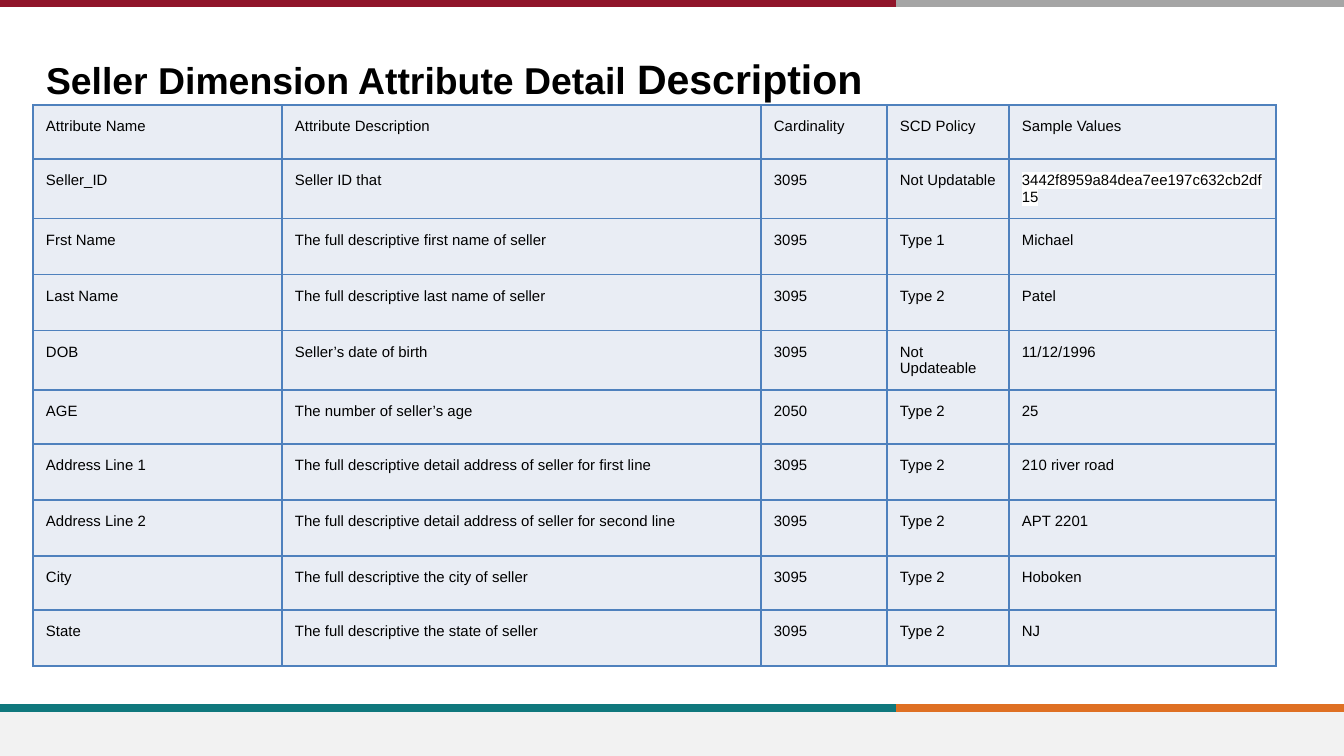
from lxml.etree import SubElement
from pptx import Presentation
from pptx.dml.color import RGBColor as Rgb
from pptx.enum.shapes import MSO_CONNECTOR as Conn, MSO_SHAPE as Shape
from pptx.enum.text import MSO_ANCHOR as Anchor, MSO_AUTO_SIZE as Fit, PP_ALIGN as Align
from pptx.oxml.ns import qn
from pptx.util import Emu, Pt

TITLE = [("Seller Dimension Attribute Detail ", "title"), ("Description", "accent")]
ROWS = [
    ("Attribute Name", "Attribute Description", "Cardinality", "SCD Policy", "Sample Values"),
    ("Seller_ID", "Seller ID that", "3095", "Not Updatable", "3442f8959a84dea7ee197c632cb2df15"),
    ("Frst Name", "The full descriptive first name of seller", "3095", "Type 1", "Michael"),
    ("Last Name", "The full descriptive last name of seller", "3095", "Type 2", "Patel"),
    ("DOB", "Seller’s date of birth", "3095", "Not Updateable", "11/12/1996"),
    ("AGE", "The number of seller’s age", "2050", "Type 2", "25"),
    ("Address Line 1", "The full descriptive detail address of seller for first line",
     "3095", "Type 2", "210 river road"),
    ("Address Line 2", "The full descriptive detail address of seller for second line",
     "3095", "Type 2", "APT 2201"),
    ("City", "The full descriptive the city of seller", "3095", "Type 2", "Hoboken"),
    ("State", "The full descriptive the state of seller", "3095", "Type 2", "NJ"),
]
MARKED = (1, 4)  # row and column of the highlighted value
COLS = [249, 479, 126, 122, 267]
SHORT, TALL = 54, 56
SHORT_ROWS = {0, 4, 5, 8}

WIDE, HIGH, SPLIT = 1344, 756, 896
LEFT, TOP = 33, 105
RULES = [(3, "red", "gray"), (708, "teal", "orange")]

THEME = {
    "font": "Arial",
    "size": {"title": 20, "accent": 22, "cell": 8},
    "rule": 4, "border": 1,
    "text": "000000", "mark": "FFFFFF", "cell": "E9EDF4", "edge": "4F81BD",
    "foot": "F2F2F2", "red": "90152A", "gray": "A5A5A5",
    "teal": "0F787D", "orange": "DF7023",
}


def px(n):
    return Emu(round(n * 914400 / 134.4))


def color(name):
    return Rgb.from_string(THEME[name])


def style(run, size, bold=False):
    font = run.font
    font.name, font.size, font.bold = THEME["font"], Pt(THEME["size"][size]), bold
    font.color.rgb = color("text")


def rule(slide, x1, x2, y, name):
    line = slide.shapes.add_connector(Conn.STRAIGHT, px(x1), px(y), px(x2), px(y))
    line.line.color.rgb = color(name)
    line.line.width = Pt(THEME["rule"])
    SubElement(line._element.spPr, qn("a:effectLst"))


def frame(slide):
    """Add the footer band and the two-colour rules."""
    band = slide.shapes.add_shape(Shape.RECTANGLE, 0, px(711), px(WIDE), px(HIGH - 711))
    band.shadow.inherit = False
    band.fill.solid()
    band.fill.fore_color.rgb = color("foot")
    band.line.fill.background()
    for y, near, far in RULES:
        rule(slide, 0, SPLIT, y, near)
        rule(slide, SPLIT, WIDE, y, far)


def head(slide):
    """Place and fill the title."""
    title = slide.shapes.title
    title.left, title.top, title.width, title.height = px(LEFT), px(46), px(1074), px(59)
    box = title.text_frame
    box.auto_size, box.word_wrap = Fit.NONE, True
    box.vertical_anchor = Anchor.BOTTOM
    box.margin_left = box.margin_right = px(13)
    box.margin_top, box.margin_bottom = px(7), px(2)
    para = box.paragraphs[0]
    para.alignment = Align.LEFT
    for text, size in TITLE:
        run = para.add_run()
        run.text = text
        style(run, size, True)


def border(cell):
    props = cell._tc.get_or_add_tcPr()
    for side in ("lnL", "lnR", "lnT", "lnB"):
        line = SubElement(props, qn(f"a:{side}"), w=str(Pt(THEME["border"])))
        fill = SubElement(line, qn("a:solidFill"))
        SubElement(fill, qn("a:srgbClr"), val=THEME["edge"])


def mark(run):
    """Highlight a run; the element belongs just before the font name."""
    props = run.font._element
    light = SubElement(props, qn("a:highlight"))
    SubElement(light, qn("a:srgbClr"), val=THEME["mark"])
    props.find(qn("a:latin")).addprevious(light)


def grid(slide):
    """Add the attribute table."""
    highs = [SHORT if r in SHORT_ROWS else TALL for r in range(len(ROWS))]
    table = slide.shapes.add_table(len(ROWS), len(COLS), px(LEFT), px(TOP),
                                   px(sum(COLS)), px(sum(highs))).table
    table.first_row = table.horz_banding = False
    for col, wide in zip(table.columns, COLS):
        col.width = px(wide)
    for r, row in enumerate(ROWS):
        table.rows[r].height = px(highs[r])
        for c, text in enumerate(row):
            cell = table.cell(r, c)
            cell.margin_left = cell.margin_right = px(13)
            cell.margin_top = cell.margin_bottom = px(13)
            border(cell)
            cell.fill.solid()
            cell.fill.fore_color.rgb = color("cell")
            cell.text_frame.text = text
            run = cell.text_frame.paragraphs[0].runs[0]
            style(run, "cell")
            if (r, c) == MARKED:
                mark(run)


def main():
    deck = Presentation()
    deck.slide_width, deck.slide_height = px(WIDE), px(HIGH)
    slide = deck.slides.add_slide(deck.slide_layouts[5])
    frame(slide)
    head(slide)
    grid(slide)
    deck.save("out.pptx")


if __name__ == "__main__":
    main()
